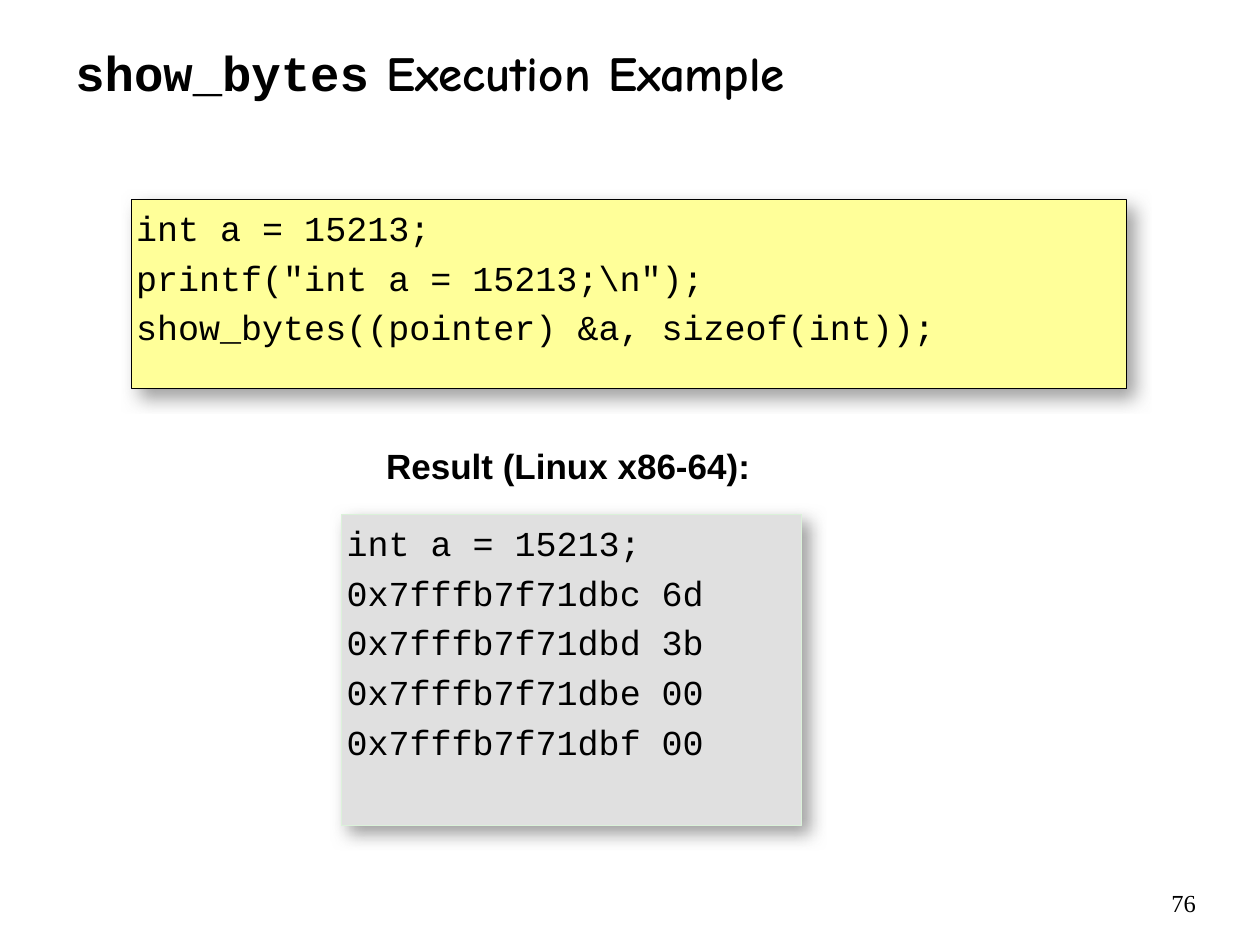
from lxml import etree
from pptx import Presentation
from pptx.dml.color import RGBColor
from pptx.enum.shapes import MSO_SHAPE
from pptx.enum.text import MSO_ANCHOR, PP_ALIGN
from pptx.oxml.ns import qn
from pptx.util import Inches, Pt

RECTANGLE = MSO_SHAPE.RECTANGLE
TOP, MIDDLE = MSO_ANCHOR.TOP, MSO_ANCHOR.MIDDLE
LEFT, CENTER, RIGHT = PP_ALIGN.LEFT, PP_ALIGN.CENTER, PP_ALIGN.RIGHT

COLORS = {
    "text": "000000",
    "code": "FFFF99",
    "result": "E0E0E0",
    "result_edge": "DBF2DA",
    "shadow": "808080",
}
TITLE_CODE = {"name": "Courier New", "size": Pt(28), "bold": True}
TITLE = {"name": "Comic Neue", "size": Pt(28), "bold": True}
CODE = {"name": "Courier New", "size": Pt(20)}
HEADING = {"name": "Arial", "size": Pt(20), "bold": True}
PAGE = {"name": "Times New Roman", "size": Pt(14)}


class SlideBuilder:
    line_gap = Pt(4.4)

    def __init__(self, slide):
        self.slide = slide

    def color(self, key):
        return RGBColor.from_string(COLORS[key])

    def frame(self, shape, margins, anchor=TOP, wrap=True):
        frame = shape.text_frame
        sides = ("margin_left", "margin_top", "margin_right", "margin_bottom")
        for side, margin in zip(sides, margins):
            setattr(frame, side, Inches(margin))
        frame.vertical_anchor = anchor
        frame.word_wrap = wrap
        return frame

    def add_runs(self, paragraph, runs, align=LEFT):
        paragraph.alignment = align
        for text, style in runs:
            run = paragraph.add_run()
            run.text = text
            run.font.color.rgb = self.color("text")
            for attribute, value in style.items():
                setattr(run.font, attribute, value)

    def label(self, box, runs, align=LEFT, margins=(0.1, 0.05, 0.1, 0.05),
              anchor=TOP, wrap=True):
        shape = self.slide.shapes.add_textbox(*map(Inches, box))
        frame = self.frame(shape, margins, anchor, wrap)
        self.add_runs(frame.paragraphs[0], runs, align)

    def drop_shadow(self, shape):
        shape.shadow.inherit = False
        effects = shape._element.spPr.find(qn("a:effectLst"))
        shadow = etree.SubElement(
            effects, qn("a:outerShdw"), blurRad=str(Pt(10)), dist=str(Pt(6)),
            dir=str(45 * 60000), algn="tl", rotWithShape="0")
        tint = etree.SubElement(shadow, qn("a:srgbClr"), val=COLORS["shadow"])
        etree.SubElement(tint, qn("a:alpha"), val="75000")

    def listing(self, box, lines, fill, edge):
        panel = self.slide.shapes.add_shape(RECTANGLE, *map(Inches, box))
        panel.fill.solid()
        panel.fill.fore_color.rgb = self.color(fill)
        panel.line.color.rgb = self.color(edge)
        panel.line.width = Pt(0.5)
        self.drop_shadow(panel)
        frame = self.frame(panel, (0.04, 0.06, 0.04, 0))
        for index, line in enumerate(lines):
            paragraph = frame.add_paragraph() if index else frame.paragraphs[0]
            if index:
                paragraph.space_before = self.line_gap
            self.add_runs(paragraph, [(line, CODE)])


def main():
    deck = Presentation()
    deck.slide_width, deck.slide_height = Inches(10), Inches(7.5)
    builder = SlideBuilder(deck.slides.add_slide(deck.slide_layouts[6]))

    # Title
    builder.label((0.5, 0.22, 9.08, 0.7),
                  [("show_bytes", TITLE_CODE), (" Execution Example", TITLE)],
                  anchor=MIDDLE)

    # Program
    program = [
        "int a = 15213;",
        'printf("int a = 15213;\\n");',
        "show_bytes((pointer) &a, sizeof(int));",
    ]
    builder.listing((1.04, 1.58, 7.9, 1.5), program, "code", "text")

    # Program output: one address and byte per line
    builder.label((2.74, 3.5, 3.54, 0.4), [("Result (Linux x86-64):", HEADING)],
                  CENTER, margins=(0.04, 0.03, 0.04, 0), wrap=False)
    memory = {"c": "6d", "d": "3b", "e": "00", "f": "00"}
    output = ["int a = 15213;"]
    output += [f"0x7fffb7f71db{digit}\t{byte}" for digit, byte in memory.items()]
    builder.listing((2.71, 4.08, 3.65, 2.47), output, "result", "result_edge")

    # Page number
    builder.label((8.17, 7, 1.42, 0.28), [("76", PAGE)], RIGHT)

    deck.save("out.pptx")


if __name__ == "__main__":
    main()
